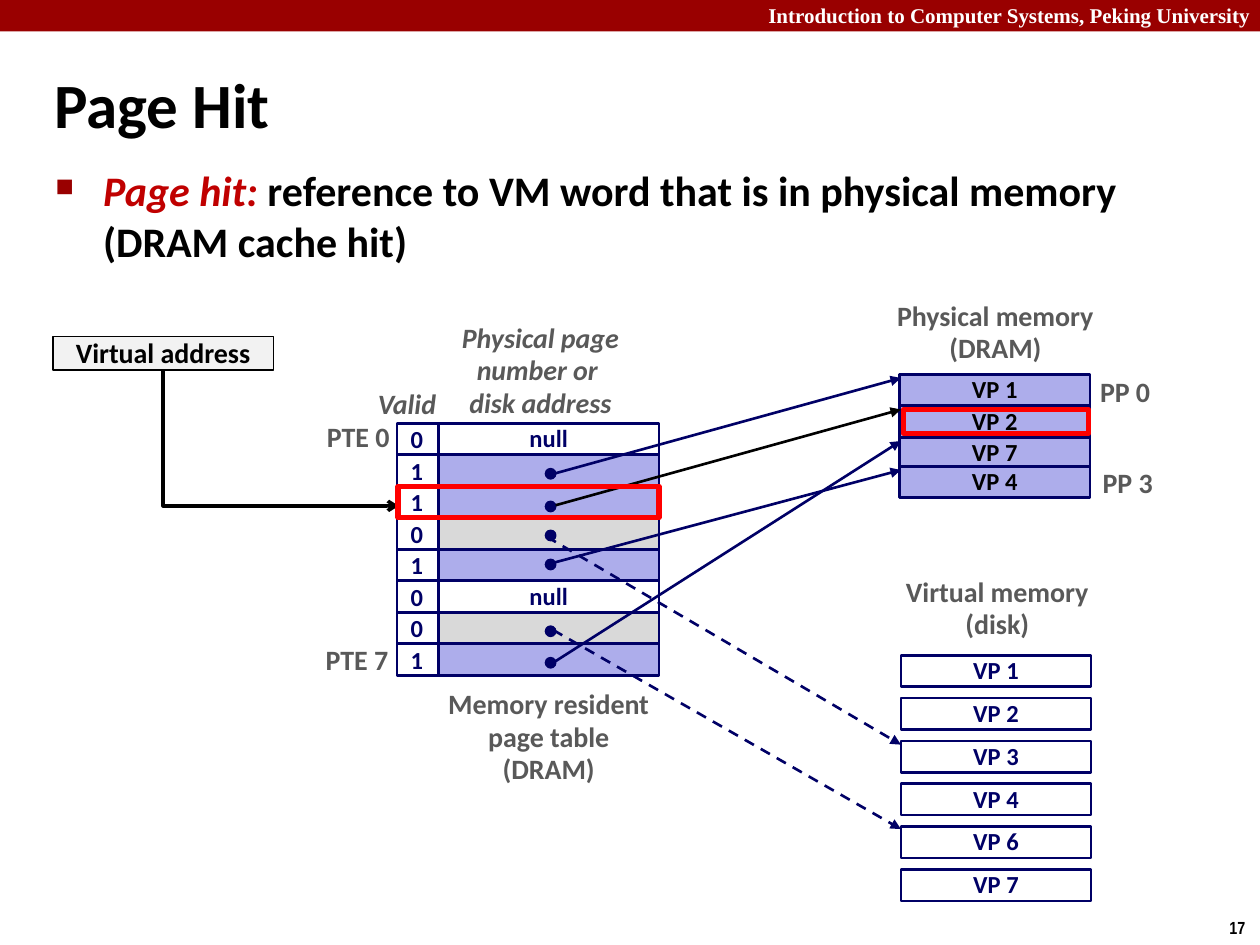
"""Build the Page Hit slide."""
import dataclasses
import typing

import lxml.etree
import pptx
import pptx.dml.color
import pptx.enum.dml
import pptx.enum.shapes
import pptx.enum.text
import pptx.oxml.ns
import pptx.util

Inches = pptx.util.Inches
Pt = pptx.util.Pt
Kind = pptx.enum.shapes.MSO_SHAPE
Link = pptx.enum.shapes.MSO_CONNECTOR
Align = pptx.enum.text.PP_ALIGN
Anchor = pptx.enum.text.MSO_ANCHOR
NAVY, LILAC, GREY, SLATE = "000066", "ADADEB", "D9D9D9", "595959"
BLACK, WHITE, RED, MAROON = "000000", "FFFFFF", "FF0000", "990000"
ROW = 0.25


@dataclasses.dataclass
class Font:
    size: float
    color: str
    name: str = "Calibri"
    italic: bool = False


@dataclasses.dataclass
class Label:
    text: str
    left: float
    top: float
    width: float
    height: float
    font: Font
    align: typing.Any = Align.CENTER
    anchor: typing.Any = Anchor.TOP
    space: float = 0.98


@dataclasses.dataclass
class Entry:
    valid: str
    fill: str
    text: str = ""


@dataclasses.dataclass
class Arrow:
    left: float
    top: float
    end: float
    color: str = NAVY
    dash: bool = False


def rgb(color: str) -> pptx.dml.color.RGBColor:
    """Turn a hex string into a colour."""
    return pptx.dml.color.RGBColor.from_string(color)


def style(run: typing.Any, font: Font) -> None:
    """Format one bold run."""
    run.font.name, run.font.size = font.name, Pt(font.size)
    run.font.bold, run.font.italic = True, font.italic
    run.font.color.rgb = rgb(font.color)


def write(frame: typing.Any, text: str, font: Font, align: typing.Any,
          space: float = 0.98) -> None:
    """Fill a text frame with formatted paragraphs."""
    frame.text = text
    for para in frame.paragraphs:
        para.alignment, para.line_spacing = align, space
        for run in para.runs:
            style(run, font)


def label(slide: typing.Any, item: Label) -> None:
    """Add an unwrapped text box."""
    box = slide.shapes.add_textbox(Inches(item.left), Inches(item.top),
                                   Inches(item.width), Inches(item.height))
    frame = box.text_frame
    frame.word_wrap, frame.vertical_anchor = False, item.anchor
    write(frame, item.text, item.font, item.align, item.space)


def block(slide: typing.Any, left: float, top: float, width: float,
          height: float, fill: str = "", line: str = NAVY, weight: float = 1.5,
          text: str = "", font: typing.Optional[Font] = None,
          kind: typing.Any = Kind.RECTANGLE) -> None:
    """Add a plain shape with optional centred text."""
    shape = slide.shapes.add_shape(kind, Inches(left), Inches(top),
                                   Inches(width), Inches(height))
    shape.shadow.inherit = False
    if fill:
        shape.fill.solid()
        shape.fill.fore_color.rgb = rgb(fill)
    else:
        shape.fill.background()
    if line:
        shape.line.color.rgb = rgb(line)
        shape.line.width = Pt(weight)
    else:
        shape.line.fill.background()
    if font:
        frame = shape.text_frame
        frame.word_wrap, frame.vertical_anchor = False, Anchor.MIDDLE
        write(frame, text, font, Align.CENTER)


def link(slide: typing.Any, kind: typing.Any, start: tuple[float, float],
         end: tuple[float, float], color: str, weight: float,
         head: str) -> typing.Any:
    """Add a connector with an arrowhead."""
    wire = slide.shapes.add_connector(kind, *map(Inches, start + end))
    wire.line.color.rgb, wire.line.width = rgb(color), Pt(weight)
    qn = pptx.oxml.ns.qn
    lxml.etree.SubElement(wire.line._get_or_add_ln(), qn("a:tailEnd"), type=head)
    lxml.etree.SubElement(wire._element.spPr, qn("a:effectLst"))
    return wire


def heading(slide: typing.Any) -> None:
    """Add the top bar, title, page number and bullet."""
    block(slide, 0, 0, 10, 0.25, MAROON, "")
    label(slide, Label("Introduction to Computer Systems, Peking University",
                       6, -0.03, 4.07, 0.3, Font(12, WHITE, "Times New Roman"),
                       Align.LEFT, space=1))
    label(slide, Label("17", 9.66, 7.23, 0.34, 0.27,
                       Font(10, BLACK, "Arial Narrow"), Align.LEFT, space=1))
    title = slide.shapes.title
    title.left, title.top = Inches(0.33), Inches(0.39)
    title.width, title.height = Inches(9.06), Inches(0.86)
    title.text_frame.vertical_anchor = Anchor.MIDDLE
    write(title.text_frame, "Page Hit", Font(36, BLACK), Align.LEFT, 1)
    body = slide.shapes.add_textbox(Inches(0.34), Inches(1.26),
                                    Inches(9.09), Inches(0.66))
    body.text_frame.word_wrap = True
    para = body.text_frame.paragraphs[0]
    for text, font in (
            ("Page hit: ", Font(24, "C00000", italic=True)),
            ("reference to VM word that is in physical memory (DRAM cache hit)",
             Font(24, BLACK))):
        run = para.add_run()
        run.text = text
        style(run, font)
    props, qn = para._p.get_or_add_pPr(), pptx.oxml.ns.qn
    props.set("marL", str(Inches(0.38)))
    props.set("indent", str(-Inches(0.38)))
    tint = lxml.etree.SubElement(props, qn("a:buClr"))
    lxml.etree.SubElement(tint, qn("a:srgbClr"), val=MAROON)
    lxml.etree.SubElement(props, qn("a:buSzPct"), val="60000")
    lxml.etree.SubElement(props, qn("a:buChar"), char="■")


def build() -> None:
    """Draw the slide and save it."""
    deck = pptx.Presentation()
    deck.slide_width, deck.slide_height = Inches(10), Inches(7.5)
    slide = deck.slides.add_slide(deck.slide_layouts[5])
    heading(slide)
    cell = Font(14, NAVY)
    table = [Entry("0", WHITE, "null"), Entry("1", LILAC), Entry("1", LILAC),
             Entry("0", GREY), Entry("1", LILAC), Entry("0", WHITE, "null"),
             Entry("0", GREY), Entry("1", LILAC)]
    for row, item in enumerate(table):
        top = 3.36 + row * ROW
        block(slide, 3.48, top, 1.75, ROW, item.fill, text=item.text,
              font=cell if item.text else None)
        block(slide, 3.15, top, 0.33, ROW)
        label(slide, Label(item.valid, 3.16, top - 0.03, 0.31, 0.33, cell,
                           Align.LEFT))
    for text, top in (("VP 7", 3.47), ("VP 4", 3.7), ("VP 2", 3.22), ("VP 1", 2.97)):
        block(slide, 7.14, top, 1.51, ROW, LILAC, text=text, font=Font(14, BLACK))
    for row, page in enumerate((1, 2, 3, 4, 6, 7)):
        block(slide, 7.15, 5.2 + row * 0.34, 1.51, ROW, WHITE,
              text=f"VP {page}", font=cell)
    for top in (3.72, 3.98, 4.21, 4.44, 4.97, 5.22):
        block(slide, 4.33, top, 0.08, 0.08, NAVY, weight=1, kind=Kind.OVAL)
    for item in (Arrow(4.36, 3.77, 3), Arrow(4.41, 4.01, 3.25, BLACK),
                 Arrow(4.34, 4.26, 5.91, dash=True), Arrow(4.38, 4.47, 3.73),
                 Arrow(4.39, 5, 6.58, dash=True), Arrow(4.39, 5.26, 3.5)):
        wire = link(slide, Link.STRAIGHT, (item.left, item.top),
                    (7.15, item.end), item.color, 1.5, "triangle")
        if item.dash:
            wire.line.dash_style = pptx.enum.dml.MSO_LINE.DASH
    note, slant = Font(16, SLATE), Font(16, SLATE, italic=True)
    mid = Anchor.MIDDLE
    for item in (
            Label("Memory resident\npage table\n(DRAM)", 3.43, 5.41, 1.85, 0.89, note),
            Label("Physical memory\n(DRAM)", 7.01, 2.33, 1.78, 0.63, note),
            Label("Virtual memory\n(disk)", 7.07, 4.52, 1.69, 0.63, note),
            Label("Valid", 2.9, 3.03, 0.75, 0.37, slant, Align.LEFT),
            Label("Physical page\nnumber or \ndisk address", 3.56, 2.5, 1.46, 0.89,
                  slant, anchor=mid),
            Label("PTE 0", 2.49, 3.29, 0.7, 0.37, note, Align.RIGHT, mid),
            Label("PTE 7", 2.48, 5.06, 0.7, 0.37, note, Align.RIGHT, mid),
            Label("PP 0", 8.63, 2.93, 0.6, 0.37, note, anchor=mid),
            Label("PP 3", 8.65, 3.65, 0.6, 0.37, note, anchor=mid)):
        label(slide, item)
    block(slide, 0.42, 2.67, 1.75, 0.27, "F2F2F2", BLACK, 1,
          "Virtual address", Font(16, BLACK))
    elbow = link(slide, Link.ELBOW, (2.77, 2.54), (1.69, 4.41), BLACK, 2, "arrow")
    shape = elbow._element.spPr
    shape.find(pptx.oxml.ns.qn("a:xfrm")).set("rot", "16200000")
    shape.find(pptx.oxml.ns.qn("a:prstGeom")).set("prst", "bentConnector2")
    block(slide, 7.17, 3.25, 1.47, 0.19, line=RED, weight=3)
    block(slide, 3.16, 3.86, 2.07, ROW, line=RED, weight=3)
    deck.save("out.pptx")


build()
